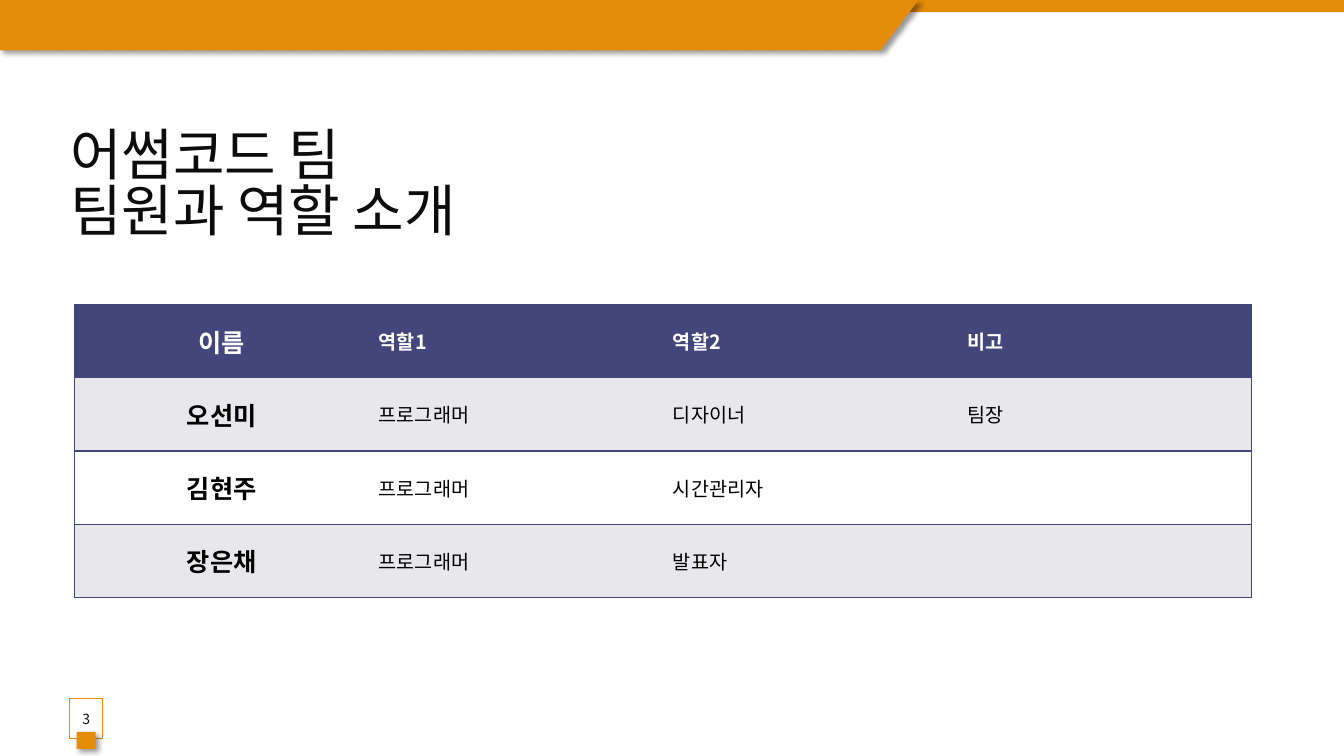
from lxml import etree
from pptx import Presentation
from pptx.dml.color import RGBColor
from pptx.enum import shapes, text
from pptx.oxml import ns
from pptx.util import Inches, Pt

FONT = "Noto Sans CJK KR"
ORANGE, NAVY, GREY, WHITE, INK, BLACK = (
    "E58C09", "43467B", "E8E8EC", "FFFFFF", "0C0C0C", "000000")
MEMBERS = [
    ["이름", "역할1", "역할2", "비고"],
    ["오선미", "프로그래머", "디자이너", "팀장"],
    ["김현주", "프로그래머", "시간관리자", ""],
    ["장은채", "프로그래머", "발표자", ""],
]


def color(value):
    return RGBColor.from_string(value)


def child(parent, tag, **attributes):
    return etree.SubElement(parent, ns.qn(tag), attributes)


def paint(shape, fill, line=None, alpha=None, shadow=False):
    shape.shadow.inherit = False
    shape.fill.solid()
    shape.fill.fore_color.rgb = color(fill)
    if line:
        shape.line.color.rgb = color(line)
        shape.line.width = Pt(0.75)
    else:
        shape.line.fill.background()
    properties = shape._element.spPr
    if alpha:
        swatch = properties.find(ns.qn("a:solidFill"))[0]
        child(swatch, "a:alpha", val=str(alpha * 1000))
    if shadow:
        outer = child(properties.find(ns.qn("a:effectLst")), "a:outerShdw",
                      blurRad=str(Pt(4)), dist=str(Pt(3)),
                      dir=str(45 * 60000), algn="tl", rotWithShape="0")
        child(child(outer, "a:srgbClr", val=BLACK), "a:alpha", val="40000")


def add_rectangle(page, left, top, width, height, **look):
    shape = page.shapes.add_shape(
        shapes.MSO_SHAPE.RECTANGLE,
        Inches(left), Inches(top), Inches(width), Inches(height))
    paint(shape, **look)
    return shape


def write(frame, words, size, ink, align=text.PP_ALIGN.LEFT, bold=False):
    frame.text = words
    para = frame.paragraphs[0]
    para.alignment = align
    for span in para.runs:
        write_format = {"name": FONT, "size": Pt(size), "bold": bold}
        for name, value in write_format.items():
            setattr(span.font, name, value)
        span.font.color.rgb = color(ink)
    for span in para.runs:
        latin = span.font._element.find(ns.qn("a:latin"))
        latin.addnext(latin.makeelement(ns.qn("a:ea"), {"typeface": FONT}))


def add_banner(page):
    add_rectangle(page, 0, 0, 13.33, 0.12, fill=ORANGE)
    outline = page.shapes.build_freeform(0, 0)
    corners = [(9.11, 0), (8.73, 0.5), (0, 0.5)]
    outline.add_line_segments([(Inches(x), Inches(y)) for x, y in corners])
    paint(outline.convert_to_shape(), ORANGE, shadow=True)


def add_title(page, words):
    title = page.shapes.title
    place = {"left": 0.6, "top": 1.08, "width": 11.82, "height": 1.55}
    for name, value in place.items():
        setattr(title, name, Inches(value))
    frame = title.text_frame
    frame.auto_size = text.MSO_AUTO_SIZE.NONE
    frame.vertical_anchor = text.MSO_ANCHOR.MIDDLE
    write(frame, words, 40, INK)
    frame.paragraphs[0].line_spacing = 0.83


def add_page_number(page, number):
    box = add_rectangle(page, 0.69, 6.93, 0.33, 0.4,
                        fill=WHITE, line=ORANGE, alpha=82)
    frame = box.text_frame
    frame.margin_left = frame.margin_right = 0
    frame.vertical_anchor = text.MSO_ANCHOR.MIDDLE
    write(frame, number, 10, INK, text.PP_ALIGN.CENTER)
    add_rectangle(page, 0.76, 7.26, 0.19, 0.17, fill=ORANGE, shadow=True)


def set_borders(cell, visible):
    properties = cell._tc.get_or_add_tcPr()
    for side in "LRTB":
        line = child(properties, f"a:ln{side}", w=str(Pt(1)))
        if side in visible:
            child(child(line, "a:solidFill"), "a:srgbClr", val=NAVY)
        else:
            child(line, "a:noFill")


def add_member_table(page, rows):
    count = len(rows[0])
    table = page.shapes.add_table(
        len(rows), count, Inches(0.74), Inches(3.02),
        Inches(11.67), Inches(2.91)).table
    for row, names in enumerate(rows):
        fill = NAVY if row == 0 else GREY if row % 2 else WHITE
        for column, words in enumerate(names):
            first = column == 0
            cell = table.cell(row, column)
            sides = "L" if first else "R" if column == count - 1 else ""
            set_borders(cell, "TB" + sides)
            cell.fill.solid()
            cell.fill.fore_color.rgb = color(fill)
            cell.vertical_anchor = text.MSO_ANCHOR.MIDDLE
            if words:
                write(cell.text_frame, words, 18 if first else 14,
                      BLACK if row else WHITE,
                      text.PP_ALIGN.CENTER if first else text.PP_ALIGN.LEFT,
                      bold=first or row == 0)


def main():
    deck = Presentation()
    deck.slide_width, deck.slide_height = Inches(13.33), Inches(7.5)
    page = deck.slides.add_slide(deck.slide_layouts.get_by_name("Title Only"))
    add_banner(page)
    add_title(page, "어썸코드 팀\v팀원과 역할 소개")
    add_page_number(page, "3")
    add_member_table(page, MEMBERS)
    deck.save("out.pptx")


if __name__ == "__main__":
    main()
